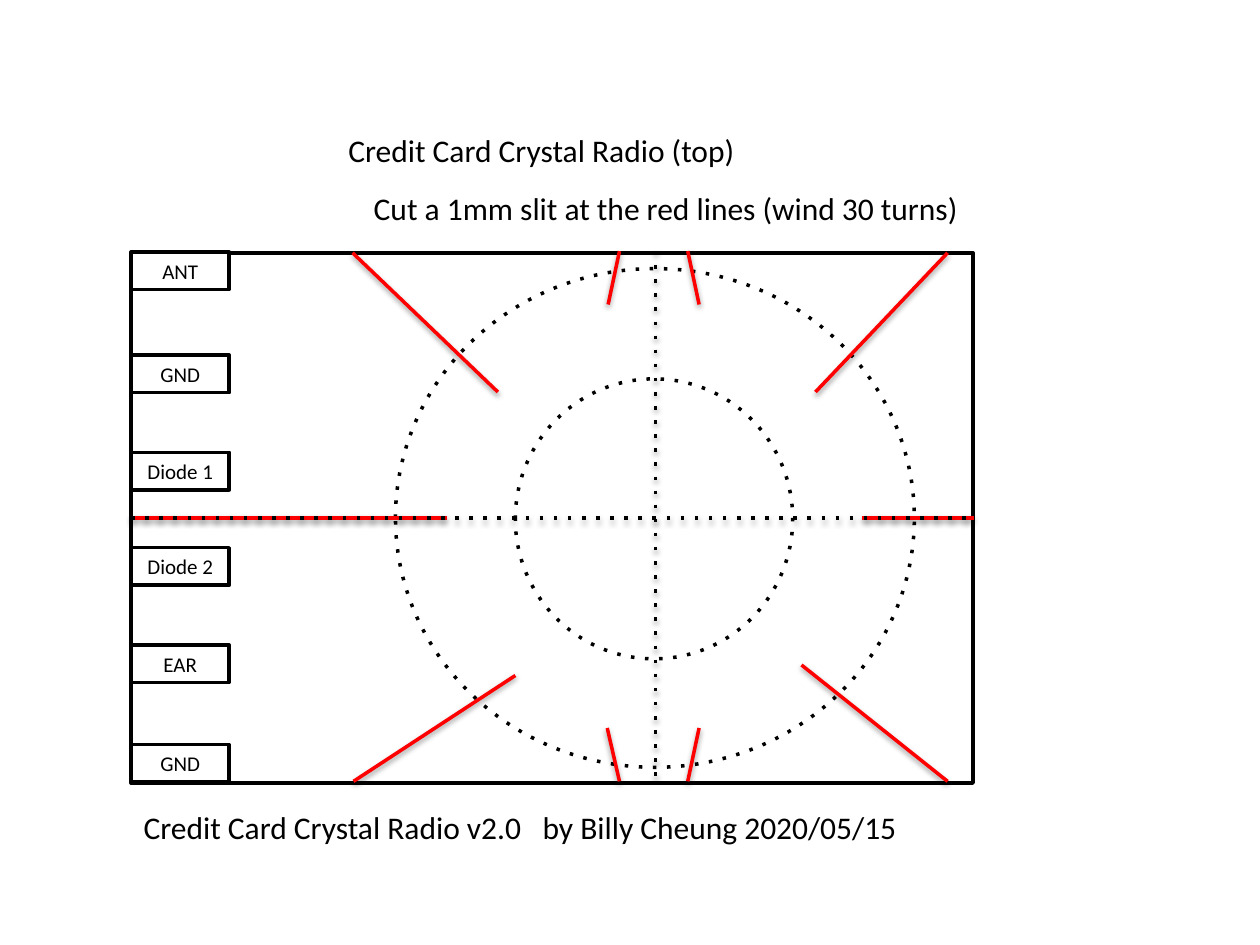
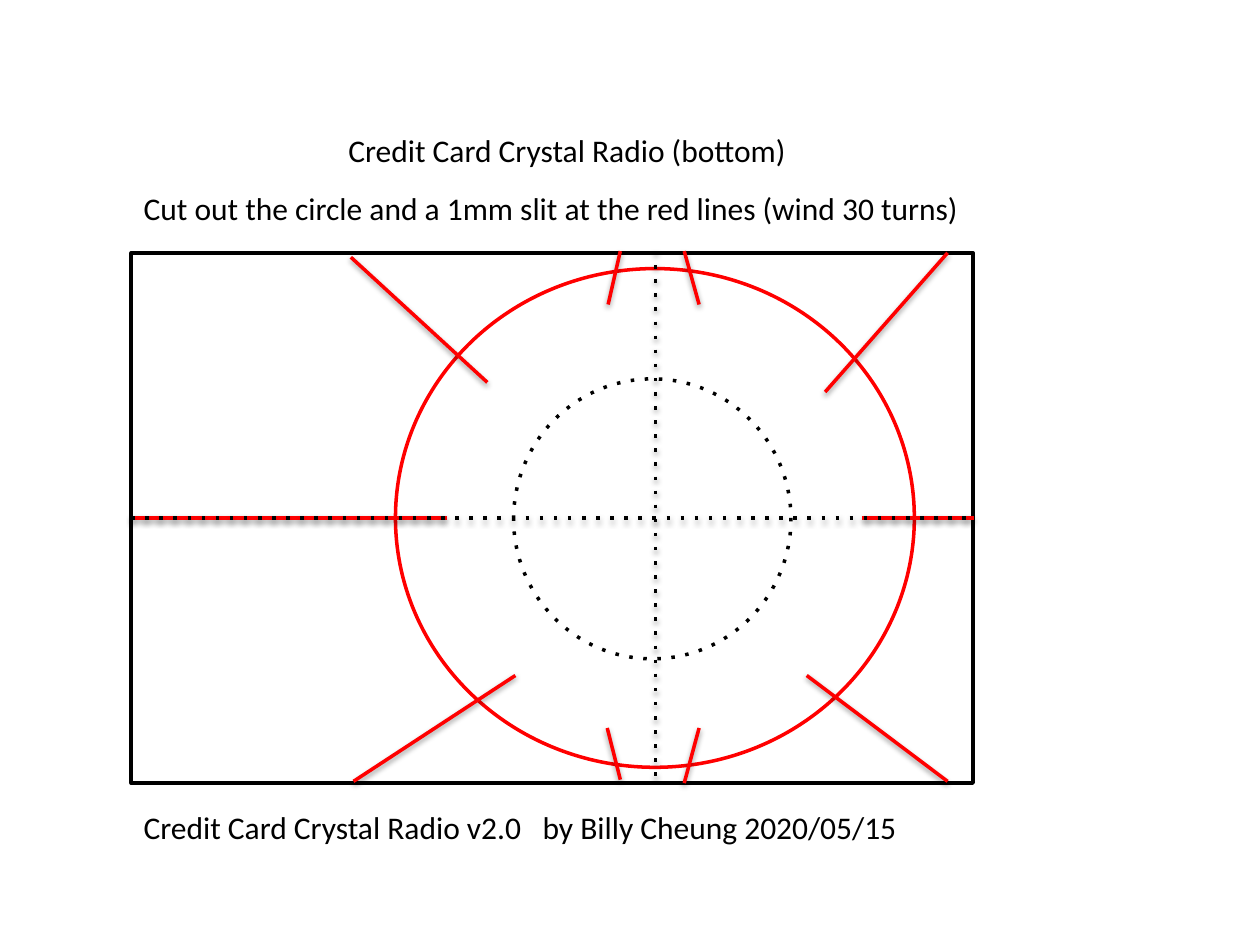
"""Builds the top and bottom cutting templates of a card-sized crystal radio."""
from lxml.etree import SubElement
from pptx import Presentation
from pptx.dml.color import RGBColor
from pptx.enum.shapes import MSO_CONNECTOR as CONNECTOR, MSO_SHAPE as SHAPE
from pptx.enum.text import MSO_ANCHOR as ANCHOR, PP_ALIGN as ALIGN
from pptx.oxml import parse_xml
from pptx.oxml.ns import nsdecls, qn
from pptx.util import Pt

BLACK = RGBColor(0, 0, 0)
WHITE = RGBColor(255, 255, 255)
RED = RGBColor(255, 0, 0)
FONT = "Calibri"
SHADOW = (
    f'<a:effectLst {nsdecls("a")}><a:outerShdw blurRad="40000" dist="20000" '
    'dir="5400000" rotWithShape="0"><a:srgbClr val="000000">'
    '<a:alpha val="38000"/></a:srgbClr></a:outerShdw></a:effectLst>'
)


def write(item, text, size=18, align=ALIGN.LEFT, anchor=ANCHOR.TOP, tab=None):
    frame = item.text_frame
    frame.word_wrap = True
    frame.vertical_anchor = anchor
    paragraph = frame.paragraphs[0]
    paragraph.alignment = align
    run = paragraph.add_run()
    run.text = text
    run.font.name = FONT
    run.font.size = Pt(size)
    run.font.color.rgb = BLACK
    if tab:
        stops = SubElement(paragraph._p.get_or_add_pPr(), qn("a:tabLst"))
        SubElement(stops, qn("a:tab"), pos=str(Pt(tab)), algn="l")


def outline(item, color, dotted=False):
    item.line.color.rgb = color
    item.line.width = Pt(2)
    if dotted:
        SubElement(item.line._get_or_add_ln(), qn("a:prstDash"), val="dot")


CARD = (75, 144.5, 481, 303)
PAD_TOPS = {144: "ANT", 203: "GND", 258.5: "Diode 1",
            313: "Diode 2", 368.5: "EAR", 425.5: "GND"}
SHARED_SLITS = [
    (294.5, 386, 202, 446.5),
    (75, 296, 255.5, 296),
    (492.5, 296, 556.5, 296),
]
AXES = [(374.5, 143.5, 374.5, 446.5), (75, 296, 556.5, 296)]

SIDES = [
    {
        "title": "Credit Card Crystal Radio (top)",
        "hint": "Cut a 1mm slit at the red lines (wind 30 turns)",
        "hint_left": 206.5,
        "pads": PAD_TOPS,
        "coil": (BLACK, True),
        "core_left": 294.5,
        "slits": [
            (466, 224, 541.5, 144.5), (284.5, 224, 201.5, 144.5),
            (458, 380, 541.5, 446.5), (399.5, 174, 393, 143.5),
            (399.5, 416, 393, 446.5), (347, 416, 354, 446.5),
            (354, 143.5, 347.5, 174),
        ],
    },
    {
        "title": "Credit Card Crystal Radio (bottom)",
        "hint": "Cut out the circle and a 1mm slit at the red lines (wind 30 turns)",
        "hint_left": 75,
        "pads": {},
        "coil": (RED, False),
        "core_left": 293.5,
        "slits": [
            (471.5, 224, 541.5, 144.5), (278.5, 218.5, 200.5, 147),
            (461, 386, 541.5, 446.5), (399.5, 174, 391, 143.5),
            (399.5, 416, 391, 447.5), (347, 416, 354.5, 445.5),
            (354.5, 143.5, 347.5, 174),
        ],
    },
]

deck = Presentation()
deck.slide_width, deck.slide_height = Pt(720), Pt(540)

for side in SIDES:
    shapes = deck.slides.add_slide(deck.slide_layouts[6]).shapes

    outlines = [(SHAPE.RECTANGLE, CARD, BLACK, False, None)]
    for top, label in side["pads"].items():
        outlines.append((SHAPE.RECTANGLE, (75, top, 56, 21.5), BLACK, False, label))
    outlines.append((SHAPE.OVAL, (226, 153.5, 296.5, 285), *side["coil"], None))
    outlines.append((SHAPE.OVAL, (side["core_left"], 216.5, 158.5, 160), BLACK, True, None))
    for kind, box, color, dotted, label in outlines:
        part = shapes.add_shape(kind, *map(Pt, box))
        part.shadow.inherit = False
        part.fill.solid()
        part.fill.fore_color.rgb = WHITE
        outline(part, color, dotted)
        if label:
            write(part, label, size=12, align=ALIGN.CENTER, anchor=ANCHOR.MIDDLE)

    cuts = [(ends, RED, False) for ends in SHARED_SLITS + side["slits"]]
    folds = [(ends, BLACK, True) for ends in AXES]
    for ends, color, dotted in cuts + folds:
        stroke = shapes.add_connector(CONNECTOR.STRAIGHT, *map(Pt, ends))
        outline(stroke, color, dotted)
        stroke._element.spPr.append(parse_xml(SHADOW))

    captions = [
        (side["title"], 192, 71.5, 280, None),
        (side["hint"], side["hint_left"], 104.5, 569.5 - side["hint_left"], None),
        ("Credit Card Crystal Radio v2.0\tby Billy Cheung 2020/05/15", 75, 458, 456.5, 228),
    ]
    for text, left, top, width, tab in captions:
        caption = shapes.add_textbox(Pt(left), Pt(top), Pt(width), Pt(29))
        write(caption, text, tab=tab)

deck.save("out.pptx")
